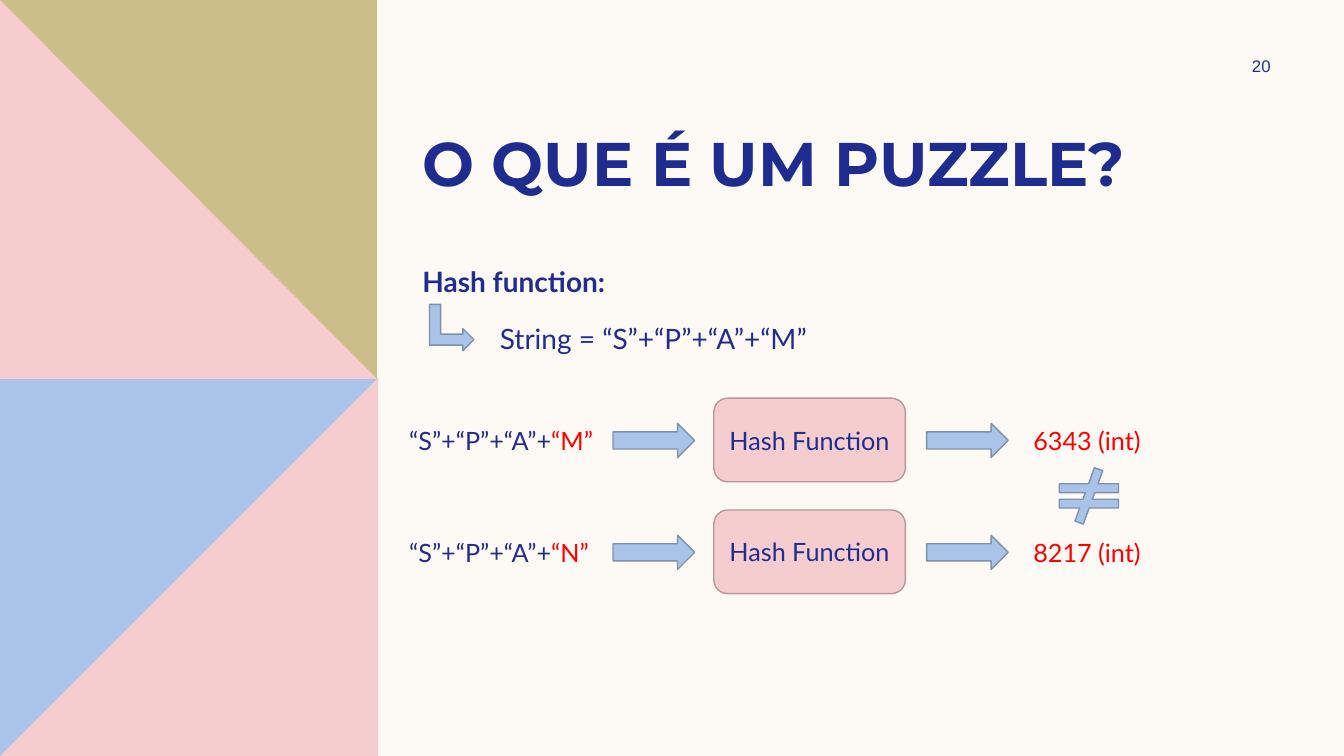
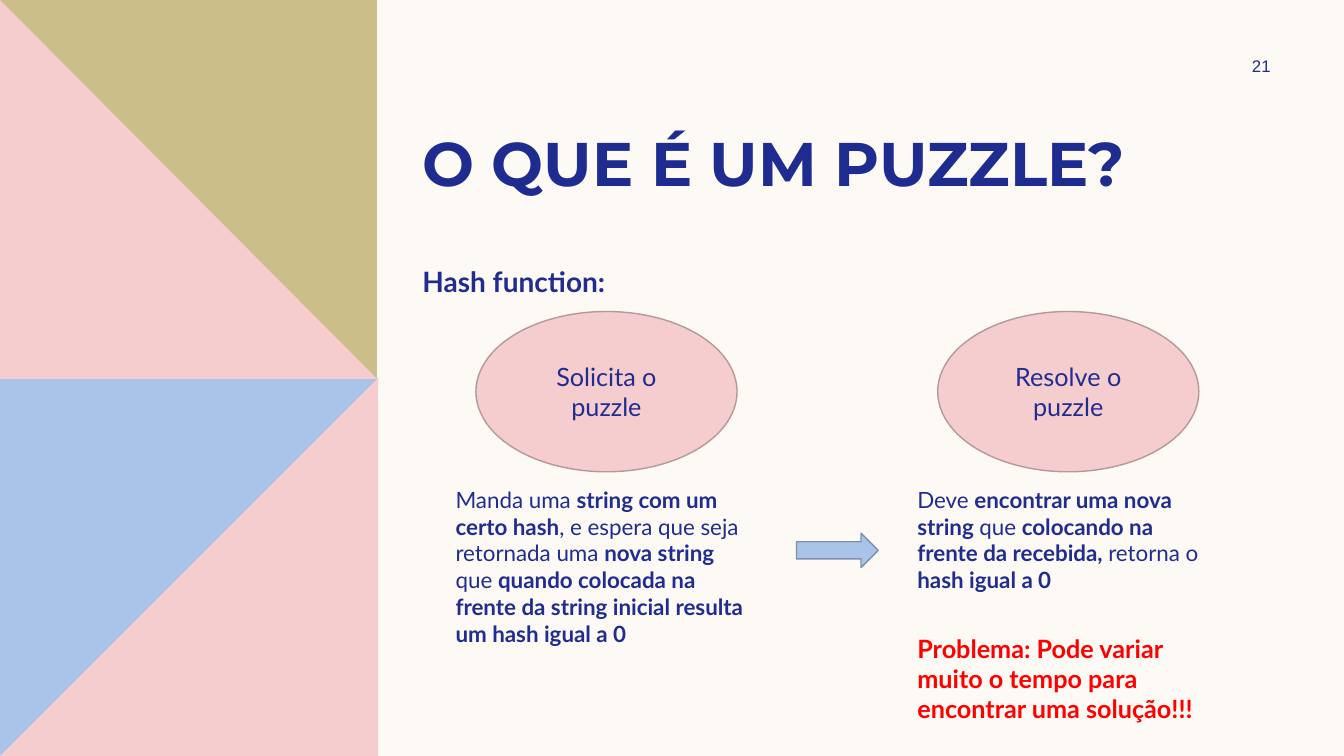
import pptx
import pptx.util
import pptx.dml.color
import pptx.enum.shapes
import pptx.enum.text

Inches = pptx.util.Inches
RGBColor = pptx.dml.color.RGBColor
SHAPE = pptx.enum.shapes.MSO_SHAPE
ALIGN = pptx.enum.text.PP_ALIGN
ANCHOR = pptx.enum.text.MSO_ANCHOR

# Shared colours and fonts
CREAM = RGBColor(0xFD, 0xFA, 0xF6)
PINK = RGBColor(0xF5, 0xCD, 0xCE)
PINK_EDGE = RGBColor(0xB5, 0x98, 0x98)
BLUE = RGBColor(0xAA, 0xC3, 0xE8)
BLUE_EDGE = RGBColor(0x7E, 0x90, 0xAC)
OLIVE = RGBColor(0xCC, 0xBE, 0x89)
TITLE_NAVY = RGBColor(0x1F, 0x2C, 0x8F)
NAVY = RGBColor(0x20, 0x2C, 0x8F)
RED = RGBColor(0xFF, 0x00, 0x00)
BODY_FONT, TITLE_FONT, NUMBER_FONT = "Lato", "Montserrat", "Arial"

ARROW_W, ARROW_H = 0.81, 0.34


def write(tf, runs, size=18, font=BODY_FONT, color=NAVY, bold=False,
          align=ALIGN.LEFT, anchor=ANCHOR.TOP):
    """Fill a text frame with a string or a list of (text, changes) runs."""
    tf.word_wrap = True
    tf.vertical_anchor = anchor
    p = tf.paragraphs[0]
    p.alignment = align
    if isinstance(runs, str):
        runs = [(runs, {})]
    for text, changes in runs:
        r = p.add_run()
        r.text = text
        r.font.name = font
        r.font.size = pptx.util.Pt(size)
        r.font.bold = changes.get("bold", bold)
        r.font.color.rgb = changes.get("color", color)


def add_text(s, x, y, w, h, runs, **fmt):
    tb = s.shapes.add_textbox(Inches(x), Inches(y), Inches(w), Inches(h))
    write(tb.text_frame, runs, **fmt)


def add_shape(s, kind, x, y, w, h, fill=BLUE, edge=BLUE_EDGE, label=None):
    sp = s.shapes.add_shape(kind, Inches(x), Inches(y), Inches(w), Inches(h))
    sp.shadow.inherit = False
    sp.fill.solid()
    sp.fill.fore_color.rgb = fill
    sp.line.color.rgb = edge
    sp.line.width = pptx.util.Pt(1)
    if label:
        write(sp.text_frame, label, align=ALIGN.CENTER, anchor=ANCHOR.MIDDLE)
    return sp


def add_arrow(s, x, y):
    add_shape(s, SHAPE.RIGHT_ARROW, x, y, ARROW_W, ARROW_H)


def add_panel(s, points, fill):
    pts = [(Inches(x), Inches(y)) for x, y in points]
    builder = s.shapes.build_freeform(*pts[0])
    builder.add_line_segments(pts[1:], close=True)
    sp = builder.convert_to_shape()
    sp.shadow.inherit = False
    sp.fill.solid()
    sp.fill.fore_color.rgb = fill
    sp.line.fill.background()


def add_side_band(s, x, y, w, h):
    """Two stacked squares, each split along a diagonal."""
    right, middle, bottom = x + w, y + h / 2, y + h
    edge, seam = right - 0.01, middle + 0.01
    add_panel(s, [(x, middle), (right, middle), (right, bottom), (x, bottom)], BLUE)
    add_panel(s, [(right, middle), (right, bottom), (x, bottom)], PINK)
    add_panel(s, [(x, y), (edge, y), (edge, seam), (x, seam)], OLIVE)
    add_panel(s, [(x, y), (edge, seam), (x, seam)], PINK)


def new_slide(prs, number):
    """Start a slide with the side band, number, title and subtitle."""
    s = prs.slides.add_slide(prs.slide_layouts[6])
    add_side_band(s, 0, 0, 3.75, 7.5)
    add_text(s, 11.97, 0.5, 1.08, 0.3, str(number), size=12, font=NUMBER_FONT,
             color=TITLE_NAVY, align=ALIGN.CENTER, anchor=ANCHOR.MIDDLE)
    add_text(s, 4.09, 1.19, 9.09, 1.59, "O QUE É UM PUZZLE?", size=44,
             font=TITLE_FONT, color=TITLE_NAVY, bold=True)
    add_text(s, 4.09, 2.58, 2.52, 0.44, "Hash function:", size=20, bold=True)
    return s


def hash_row(s, x, y, last_letter, result):
    """Input string, arrow, hash box, arrow and resulting number."""
    text_y, arrow_y = y + 0.22, y + 0.25
    add_text(s, x, text_y, 2.27, 0.4,
             [("“S”+“P”+“A”+", {}), (last_letter, {"color": RED})])
    add_arrow(s, x + 2.12, arrow_y)
    add_shape(s, SHAPE.ROUNDED_RECTANGLE, x + 3.12, y, 1.9, 0.83,
              PINK, PINK_EDGE, "Hash Function")
    add_arrow(s, x + 5.23, arrow_y)
    add_text(s, x + 6.19, text_y, 2.27, 0.4, result, color=RED)


def hash_slide(prs):
    s = new_slide(prs, 20)
    # Example string
    add_shape(s, SHAPE.BENT_UP_ARROW, 4.25, 3.03, 0.46, 0.44).rotation = 90
    add_text(s, 4.86, 3.14, 3.26, 0.44, "String = “S”+“P”+“A”+“M”", size=20)
    # Two inputs with different hashes
    rows = [("“M”", "6343 (int)"), ("“N”", "8217 (int)")]
    for i, (letter, result) in enumerate(rows):
        hash_row(s, 3.96, 3.95 + i * 1.11, letter, result)
    sign = add_shape(s, SHAPE.MATH_NOT_EQUAL, 10.4, 4.64, 0.8, 0.56)
    for i, value in enumerate((0.156, 66, 0.118)):
        sign.adjustments[i] = value


def role_column(s, x, y, label, runs, text_h):
    """Ellipse naming the step, with its description below."""
    add_shape(s, SHAPE.OVAL, x + 0.3, y, 2.59, 1.59, PINK, PINK_EDGE, label)
    add_text(s, x, y + 1.68, 3.18, text_h, runs, size=16)


def roles_slide(prs):
    s = new_slide(prs, 21)
    strong = {"bold": True}
    # Request
    role_column(s, 4.42, 3.09, "Solicita o puzzle", [
        ("Manda uma ", {}),
        ("string com um certo hash", strong),
        (", e espera que seja retornada uma ", {}),
        ("nova string", strong),
        (" que ", {}),
        ("quando colocada na frente da string inicial resulta um hash igual a 0",
         strong),
    ], 1.72)
    add_arrow(s, 7.9, 5.29)
    # Solution and its drawback
    role_column(s, 9, 3.09, "Resolve o puzzle", [
        ("Deve ", {}),
        ("encontrar uma nova string ", strong),
        ("que ", {}),
        ("colocando na frente da recebida, ", strong),
        ("retorna o ", {}),
        ("hash igual a 0", strong),
    ], 1.18)
    add_text(s, 9, 6.23, 3.18, 1.01,
             "Problema: Pode variar muito o tempo para encontrar uma solução!!!",
             color=RED, bold=True)


def main():
    prs = pptx.Presentation()
    prs.slide_width, prs.slide_height = Inches(13.33), Inches(7.5)
    fill = prs.slide_master.background.fill
    fill.solid()
    fill.fore_color.rgb = CREAM
    hash_slide(prs)
    roles_slide(prs)
    prs.save("out.pptx")


if __name__ == "__main__":
    main()
